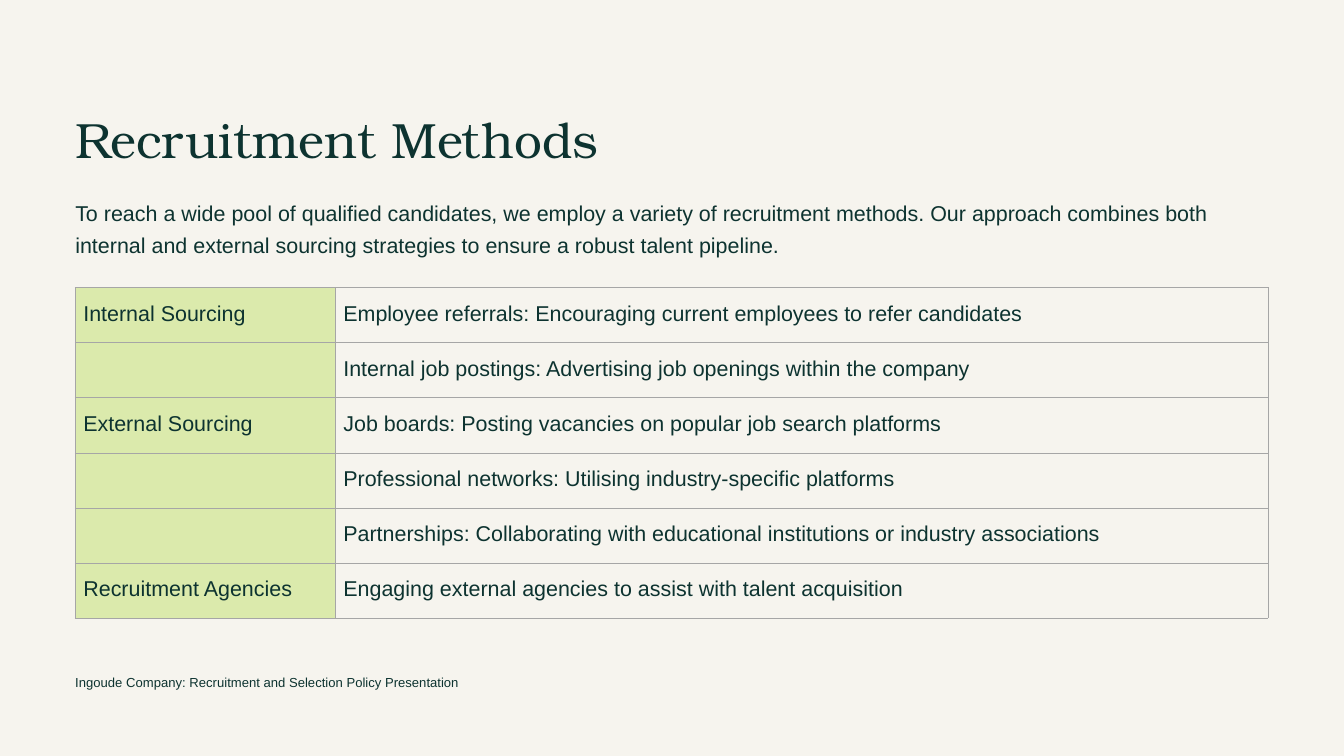
from dataclasses import dataclass

from lxml import etree
from pptx import Presentation
from pptx.dml.color import RGBColor
from pptx.enum.text import MSO_ANCHOR, MSO_AUTO_SIZE, PP_ALIGN
from pptx.oxml.ns import qn
from pptx.util import Inches, Pt

TOP = MSO_ANCHOR.TOP
LEFT = PP_ALIGN.LEFT
FIXED = MSO_AUTO_SIZE.NONE


@dataclass(frozen=True)
class Style:
    font: str
    size: float
    lead: float


@dataclass(frozen=True)
class Theme:
    paper: str = "F6F4EE"
    ink: str = "0D3330"
    green: str = "DBEAAC"
    rule: str = "A6A6A6"
    rule_width: float = 0.75
    title: Style = Style("TeX Gyre Bonum", 53, 63.6)
    body: Style = Style("Arial", 23, 34.5)
    cell: Style = Style("Arial", 23, 32.2)
    foot: Style = Style("Arial", 14, 21.7)


@dataclass(frozen=True)
class Box:
    left: float
    top: float
    width: float
    height: float

    def lengths(self) -> list:
        return [Inches(n) for n in (self.left, self.top, self.width, self.height)]


@dataclass(frozen=True)
class Method:
    group: str
    detail: str


THEME = Theme()
EDGE = 1.12
SPAN = 17.75
GROUP_WIDTH = 3.87
ROW_HEIGHT = 0.82
INSET = 0.12

METHODS = [
    Method("Internal Sourcing", "Employee referrals: Encouraging current employees to refer candidates"),
    Method("", "Internal job postings: Advertising job openings within the company"),
    Method("External Sourcing", "Job boards: Posting vacancies on popular job search platforms"),
    Method("", "Professional networks: Utilising industry-specific platforms"),
    Method("", "Partnerships: Collaborating with educational institutions or industry associations"),
    Method("Recruitment Agencies", "Engaging external agencies to assist with talent acquisition"),
]


def set_text(frame, text: str, style: Style) -> None:
    frame.text = text
    for par in frame.paragraphs:
        par.alignment = LEFT
        par.line_spacing = Pt(style.lead)
        par.space_before = par.space_after = Pt(0)
        for run in par.runs:
            run.font.name = style.font
            run.font.size = Pt(style.size)
            run.font.color.rgb = RGBColor.from_string(THEME.ink)


def fill_box(shape, box: Box, text: str, style: Style) -> None:
    shape.left, shape.top, shape.width, shape.height = box.lengths()
    frame = shape.text_frame
    frame.word_wrap = True
    frame.auto_size = FIXED
    frame.vertical_anchor = TOP
    frame.margin_left = frame.margin_right = 0
    frame.margin_top = frame.margin_bottom = 0
    set_text(frame, text, style)


def drop_bullet(par) -> None:
    props = par._p.get_or_add_pPr()
    props.set("marL", "0")
    props.set("indent", "0")
    etree.SubElement(props, qn("a:buNone"))


def add_rules(cell) -> None:
    props = cell._tc.get_or_add_tcPr()
    for side in ("lnL", "lnR", "lnT", "lnB"):
        line = etree.SubElement(props, qn(f"a:{side}"), w=str(Pt(THEME.rule_width)))
        fill = etree.SubElement(line, qn("a:solidFill"))
        etree.SubElement(fill, qn("a:srgbClr"), val=THEME.rule)


def fill_cell(cell, text: str, color: str | None = None) -> None:
    cell.margin_left = cell.margin_right = Inches(INSET)
    cell.margin_top = cell.margin_bottom = Inches(INSET)
    cell.vertical_anchor = TOP
    set_text(cell.text_frame, text, THEME.cell)
    add_rules(cell)
    if color:
        cell.fill.solid()
        cell.fill.fore_color.rgb = RGBColor.from_string(color)
    else:
        cell.fill.background()


def add_methods(slide, methods: list[Method]) -> None:
    box = Box(EDGE, 4.28, SPAN, ROW_HEIGHT * len(methods))
    table = slide.shapes.add_table(len(methods), 2, *box.lengths()).table
    table.first_row = False
    table.horz_banding = False
    table.columns[0].width = Inches(GROUP_WIDTH)
    table.columns[1].width = Inches(SPAN - GROUP_WIDTH)
    for row, method in enumerate(methods):
        table.rows[row].height = Inches(ROW_HEIGHT)
        fill_cell(table.cell(row, 0), method.group, THEME.green)
        fill_cell(table.cell(row, 1), method.detail)


def main() -> None:
    deck = Presentation()
    deck.slide_width = Inches(20)
    deck.slide_height = Inches(11.25)
    slide = deck.slides.add_slide(deck.slide_layouts[1])
    back = slide.background.fill
    back.solid()
    back.fore_color.rgb = RGBColor.from_string(THEME.paper)

    fill_box(slide.shapes.title, Box(EDGE, 1.62, 8.64, 0.88), "Recruitment Methods", THEME.title)
    body = slide.placeholders[1]
    fill_box(
        body,
        Box(EDGE, 2.88, SPAN, 0.94),
        "To reach a wide pool of qualified candidates, we employ a variety of recruitment methods. "
        "Our approach combines both internal and external sourcing strategies to ensure a robust "
        "talent pipeline.",
        THEME.body,
    )
    drop_bullet(body.text_frame.paragraphs[0])
    add_methods(slide, METHODS)
    foot = Box(EDGE, 9.97, 10.66, 0.27)
    fill_box(
        slide.shapes.add_textbox(*foot.lengths()),
        foot,
        "Ingoude Company: Recruitment and Selection Policy Presentation",
        THEME.foot,
    )
    deck.save("out.pptx")


if __name__ == "__main__":
    main()
